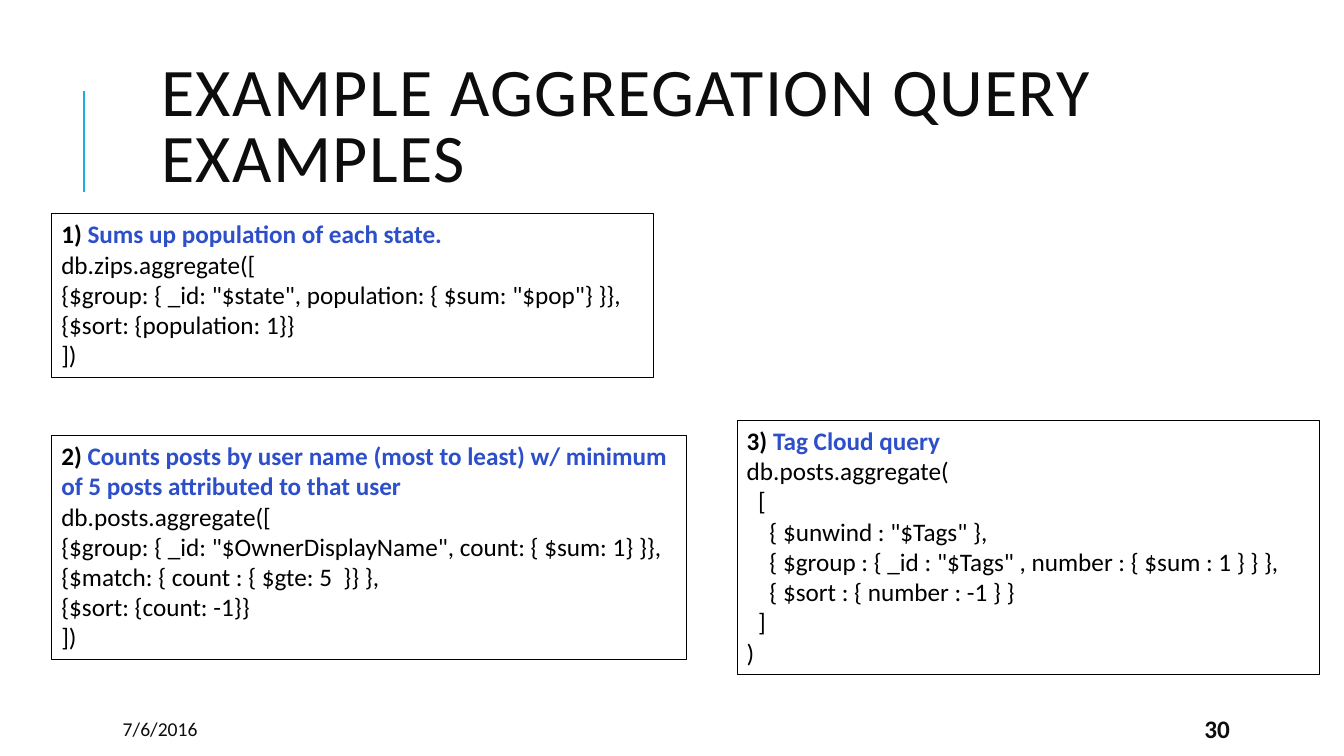
from lxml import etree
from pptx import Presentation
from pptx.dml.color import RGBColor
from pptx.enum.shapes import MSO_CONNECTOR as Connector, MSO_SHAPE as Shape
from pptx.enum.text import MSO_ANCHOR as Anchor, MSO_AUTO_SIZE as AutoSize, PP_ALIGN as Align
from pptx.oxml.ns import qn
from pptx.util import Pt

COLORS = {"accent": "1CADE4", "title": "0D0D0D", "code": "000000", "heading": "2D4FC9"}

QUERIES = [
    ((36.7, 311, 453.6, 159.8), "2) ",
     "Counts posts by user name (most to least) w/ minimum of 5 posts attributed to that user",
     """db.posts.aggregate([
{$group: { _id: "$OwnerDisplayName", count: { $sum: 1} }},
{$match: { count : { $gte: 5  }} },
{$sort: {count: -1}}
])"""),
    ((526.3, 300.2, 416.2, 181.4), "3) ", "Tag Cloud query",
     """db.posts.aggregate(
  [
    { $unwind : "$Tags" },
    { $group : { _id : "$Tags" , number : { $sum : 1 } } },
    { $sort : { number : -1 } }
  ]
)"""),
    ((36.7, 152.6, 429.8, 116.6), "1) ", "Sums up population of each state.",
     """db.zips.aggregate([
{$group: { _id: "$state", population: { $sum: "$pop"} }},
{$sort: {population: 1}}
])"""),
]


class SlideBuilder:
    """Holds the text style and the slide being filled."""

    def __init__(self, slide, font_name="Calibri"):
        """Keep the slide and the font name."""
        self.slide = slide
        self.font_name = font_name

    def style(self, font, size, color, bold=False):
        """Format one font object."""
        font.name, font.size, font.bold = self.font_name, Pt(size), bold
        font.color.rgb = RGBColor.from_string(COLORS[color])

    def title(self, text, box, size):
        """Move, fill and format the title placeholder."""
        shape = self.slide.shapes.title
        shape.left, shape.top, shape.width, shape.height = map(Pt, box)
        frame = shape.text_frame
        frame.text = text
        frame.word_wrap, frame.auto_size = True, AutoSize.NONE
        frame.vertical_anchor = Anchor.MIDDLE
        paragraph = frame.paragraphs[0]
        paragraph.alignment, paragraph.line_spacing = Align.LEFT, 0.8
        self.style(paragraph.font, size, "title")
        paragraph.runs[0]._r.get_or_add_rPr().set("spc", "100")

    def rule(self, start, end, width):
        """Draw a straight accent line."""
        line = self.slide.shapes.add_connector(Connector.STRAIGHT, *map(Pt, start + end))
        line.line.color.rgb = RGBColor.from_string(COLORS["accent"])
        line.line.width = Pt(width)
        etree.SubElement(line._element.spPr, qn("a:effectLst"))

    def label(self, text, box, size, bold=False):
        """Add a single line of footer text."""
        frame = self.slide.shapes.add_textbox(*map(Pt, box)).text_frame
        frame.text = text
        frame.word_wrap, frame.vertical_anchor = True, Anchor.MIDDLE
        self.style(frame.paragraphs[0].font, size, "title", bold)

    def query(self, box, number, heading, code, size=18):
        """Add an outlined box with a numbered heading above code lines."""
        shape = self.slide.shapes.add_shape(Shape.RECTANGLE, *map(Pt, box))
        shape.shadow.inherit = False
        shape.fill.background()
        shape.line.color.rgb = RGBColor.from_string(COLORS["code"])
        shape.line.width = Pt(0.25)
        frame = shape.text_frame
        frame.word_wrap, frame.vertical_anchor = True, Anchor.TOP
        frame.auto_size = AutoSize.SHAPE_TO_FIT_TEXT
        first = frame.paragraphs[0]
        first.alignment = Align.LEFT
        for text, color in ((number, "code"), (heading, "heading")):
            run = first.add_run()
            run.text = text
            self.style(run.font, size, color, bold=True)
        for text in code.splitlines():
            paragraph = frame.add_paragraph()
            paragraph.text = text
            paragraph.alignment = Align.LEFT
            self.style(paragraph.font, size, "code")


def main():
    """Build and save the slide."""
    presentation = Presentation()
    presentation.slide_width, presentation.slide_height = Pt(960), Pt(540)
    builder = SlideBuilder(presentation.slides.add_slide(presentation.slide_layouts[5]))
    builder.rule((60, 136.8), (60, 64.8), 1.5)
    builder.title("EXAMPLE AGGREGATION QUERY EXAMPLES", (108, 65.5, 765.4, 54.7), 48.6)
    builder.label("7/6/2016", (80.6, 509.8, 170, 21.6), 14)
    builder.label("30", (853.2, 509.8, 76.3, 21.6), 18, bold=True)
    for query in QUERIES:
        builder.query(*query)
    presentation.save("out.pptx")


if __name__ == "__main__":
    main()
